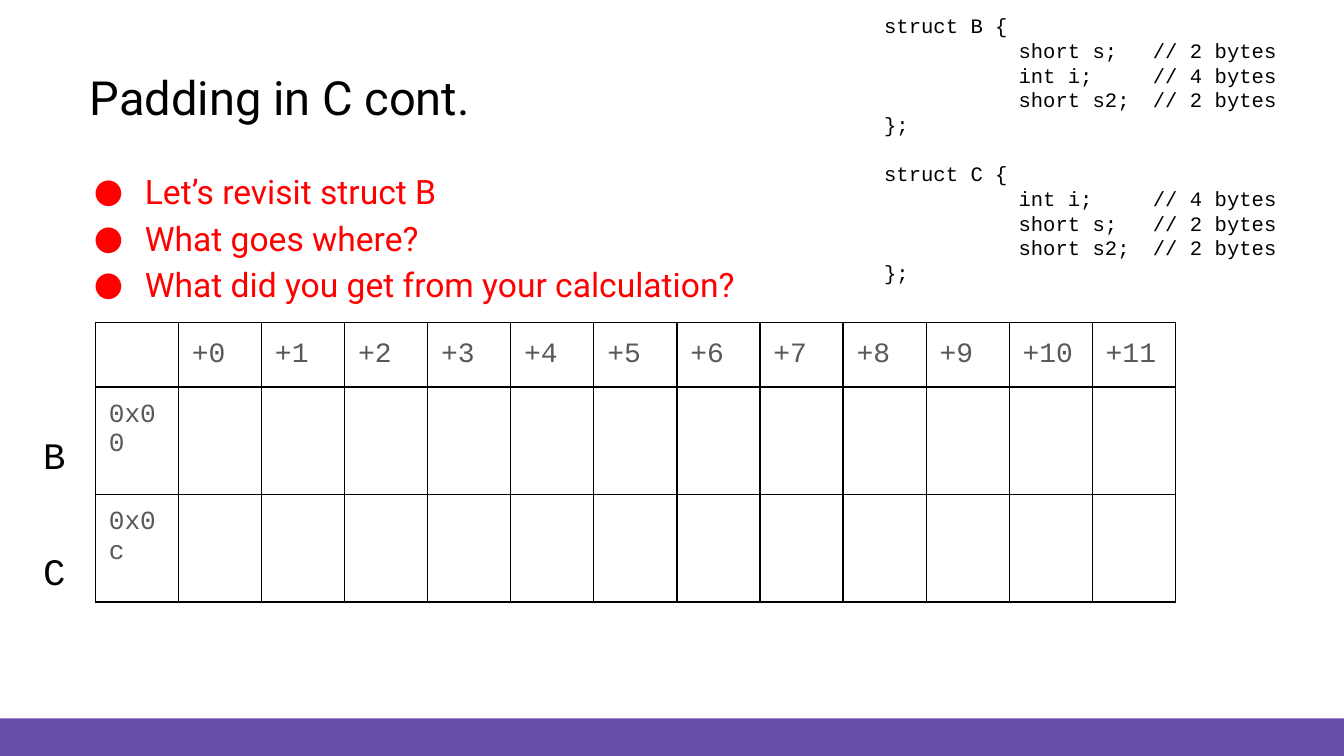
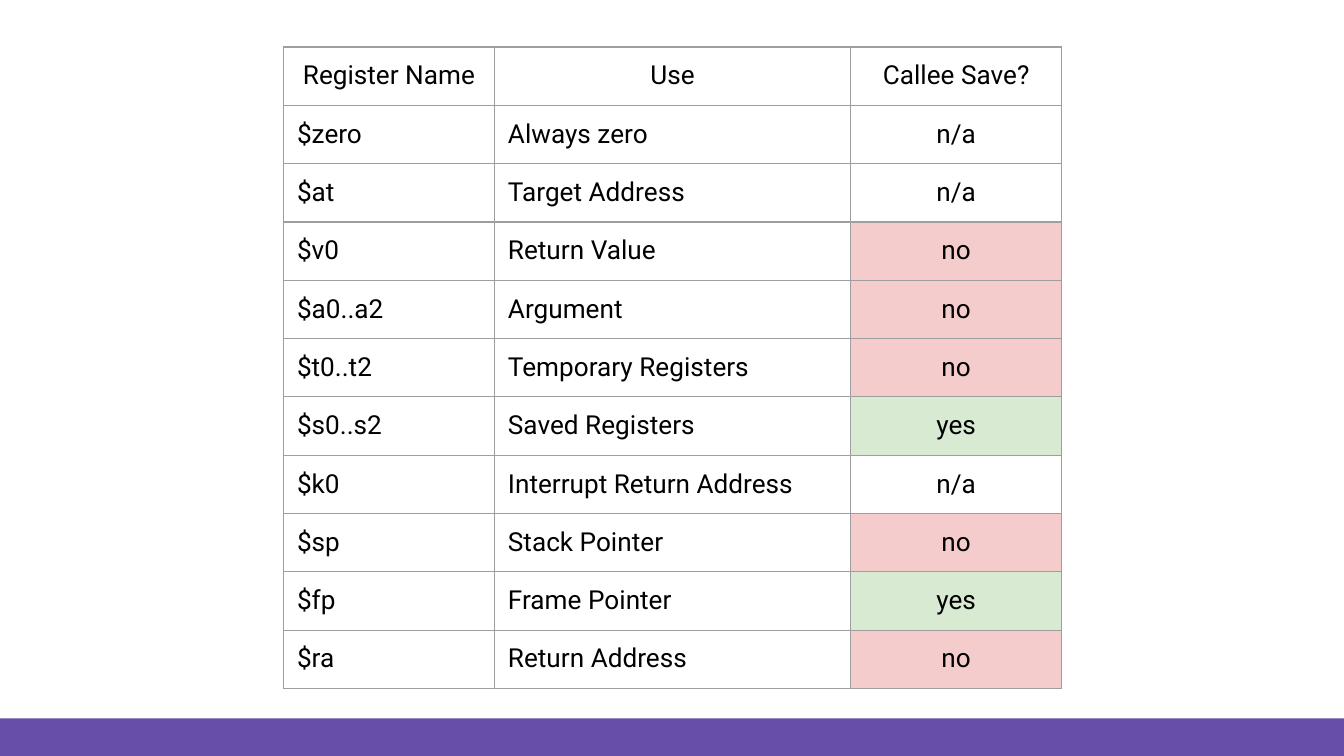
from lxml import etree
from pptx import Presentation
from pptx.dml.color import RGBColor
from pptx.enum import shapes, text
from pptx.oxml import ns
from pptx.util import Inches, Pt

COLORS = {
    "band": "674EA7", "ink": "000000", "prompt": "FF0000", "code_gray": "595959",
    "white": "FFFFFF", "grid": "9E9E9E", "no": "F4CCCC", "yes": "D9EAD3",
}
SANS, MONO = "Roboto", "Courier New"
WIDTH = 10
HEIGHT = WIDTH * 9 / 16
BAND_HEIGHT = 0.28
INSET = Inches(0.1)
CODE_LEADING = Pt(13.2)

STRUCTS = [
    ["struct B {", "\tshort s;\t// 2 bytes", "\tint i;\t// 4 bytes",
     "\tshort s2;\t// 2 bytes", "};"],
    ["struct C {", "\tint i;\t// 4 bytes", "\tshort s;\t// 2 bytes",
     "\tshort s2;\t// 2 bytes", "};"],
]
PROMPTS = ["Let’s revisit struct B", "What goes where?",
           "What did you get from your calculation?"]
REGISTERS = [
    ("Register Name", "Use", "Callee Save?"),
    ("$zero", "Always zero", "n/a"),
    ("$at", "Target Address", "n/a"),
    ("$v0", "Return Value", "no"),
    ("$a0..a2", "Argument", "no"),
    ("$t0..t2", "Temporary Registers", "no"),
    ("$s0..s2", "Saved Registers", "yes"),
    ("$k0", "Interrupt Return Address", "n/a"),
    ("$sp", "Stack Pointer", "no"),
    ("$fp", "Frame Pointer", "yes"),
    ("$ra", "Return Address", "no"),
]


def rgb(name):
    return RGBColor.from_string(COLORS[name])


def style_runs(paragraph, size, font, color):
    for run in paragraph.runs:
        run.font.size, run.font.name = Pt(size), font
        run.font.color.rgb = rgb(color)


def set_insets(holder):
    holder.margin_left = holder.margin_right = INSET
    holder.margin_top = holder.margin_bottom = INSET


def add_text(slide, box, lines, size, font, color="ink",
             anchor=text.MSO_ANCHOR.TOP, align=None):
    frame = slide.shapes.add_textbox(*map(Inches, box)).text_frame
    frame.word_wrap = True
    frame.vertical_anchor = anchor
    set_insets(frame)
    frame.text = "\n".join(lines)
    for paragraph in frame.paragraphs:
        paragraph.alignment = align
        style_runs(paragraph, size, font, color)
    return frame.paragraphs


# Tables
def add_grid(slide, left, top, widths, heights, border):
    frame = slide.shapes.add_table(
        len(heights), len(widths), Inches(left), Inches(top),
        Inches(sum(widths)), Inches(sum(heights)))
    grid = frame.table
    grid.first_row = grid.horz_banding = False
    for column, width in zip(grid.columns, widths):
        column.width = Inches(width)
    for row, height in zip(grid.rows, heights):
        row.height = Inches(height)
    for cell in grid.iter_cells():
        cell.fill.background()
        set_borders(cell, border)
    return grid


def set_borders(cell, color):
    properties = cell._tc.get_or_add_tcPr()
    for index, side in enumerate("LRTB"):
        line = etree.Element(ns.qn(f"a:ln{side}"), w=str(Pt(0.75)))
        fill = etree.SubElement(line, ns.qn("a:solidFill"))
        etree.SubElement(fill, ns.qn("a:srgbClr"), val=COLORS[color])
        properties.insert(index, line)


def fill_cell(cell, color):
    cell.fill.solid()
    cell.fill.fore_color.rgb = rgb(color)


def write_cell(cell, content, size, font, color="ink", align=None):
    set_insets(cell)
    cell.text = content
    paragraph = cell.text_frame.paragraphs[0]
    paragraph.alignment = align
    style_runs(paragraph, size, font, color)


# Shared slide base
def new_slide(deck):
    slide = deck.slides.add_slide(deck.slide_layouts[6])
    band = slide.shapes.add_shape(
        shapes.MSO_SHAPE.RECTANGLE, 0, Inches(HEIGHT - BAND_HEIGHT),
        Inches(WIDTH), Inches(BAND_HEIGHT))
    band.shadow.inherit = False
    band.fill.solid()
    band.fill.fore_color.rgb = rgb("band")
    band.line.fill.background()
    return slide


# Regions of the padding slide
def add_prompts(slide, box):
    for paragraph in add_text(slide, box, PROMPTS, 18, SANS, "prompt"):
        paragraph.line_spacing = 1.15
        properties = paragraph._p.get_or_add_pPr()
        properties.set("marL", str(Inches(0.5)))
        properties.set("indent", str(Inches(-0.38)))
        tint = etree.SubElement(properties, ns.qn("a:buClr"))
        etree.SubElement(tint, ns.qn("a:srgbClr"), val=COLORS["prompt"])
        etree.SubElement(properties, ns.qn("a:buFont"), typeface=SANS)
        etree.SubElement(properties, ns.qn("a:buChar"), char="●")


def add_structs(slide, box):
    lines = [line for struct in STRUCTS for line in struct]
    for index, paragraph in enumerate(add_text(slide, box, lines, 11, MONO)):
        paragraph.line_spacing = CODE_LEADING
        if index == len(STRUCTS[0]):
            paragraph.space_before = CODE_LEADING
        stops = etree.SubElement(paragraph._p.get_or_add_pPr(), ns.qn("a:tabLst"))
        for inches in (1, 2):
            etree.SubElement(stops, ns.qn("a:tab"), pos=str(Inches(inches)), algn="l")


def add_memory_map(slide, left, top):
    offsets = range(12)
    columns = len(offsets) + 1
    grid = add_grid(slide, left, top, [8.04 / columns] * columns,
                    [0.48, 0.8, 0.8], "ink")
    for offset in offsets:
        header = grid.cell(0, offset + 1)
        write_cell(header, f"+{offset}", 15, MONO, "code_gray")
        header.vertical_anchor = text.MSO_ANCHOR.MIDDLE
        fill_cell(grid.cell(1, offset + 1), "white")
    for row, address in enumerate(("0x00", "0x0c"), start=1):
        write_cell(grid.cell(row, 0), address, 14, MONO, "code_gray")
    # Struct labels beside the rows
    for index, struct in enumerate("BC"):
        add_text(slide, (left - 0.67, top + 0.74 + 0.86 * index, 0.73, 0.49),
                 [struct], 20, MONO, anchor=text.MSO_ANCHOR.MIDDLE,
                 align=text.PP_ALIGN.CENTER)


def build_padding_slide(deck):
    slide = new_slide(deck)
    add_text(slide, (0.57, 0.41, 8.86, 0.63), ["Padding in C cont."], 25.2, SANS)
    add_prompts(slide, (0.48, 1.13, 5.79, 1.41))
    add_memory_map(slide, 0.71, 2.4)
    add_structs(slide, (6.48, 0, 3.28, 2.42))


# Register table slide
def build_register_slide(deck):
    slide = new_slide(deck)
    grid = add_grid(slide, 2.11, 0.35, [1.57, 2.65, 1.57],
                    [0.43] * len(REGISTERS), "grid")
    for row, register in enumerate(REGISTERS):
        for column, content in enumerate(register):
            centered = row == 0 or column == 2
            write_cell(grid.cell(row, column), content, 14, SANS,
                       align=text.PP_ALIGN.CENTER if centered else None)
        callee_save = register[2]
        if callee_save in COLORS:
            fill_cell(grid.cell(row, 2), callee_save)


def main():
    deck = Presentation()
    deck.slide_width, deck.slide_height = Inches(WIDTH), Inches(HEIGHT)
    build_padding_slide(deck)
    build_register_slide(deck)
    deck.save("out.pptx")


if __name__ == "__main__":
    main()
